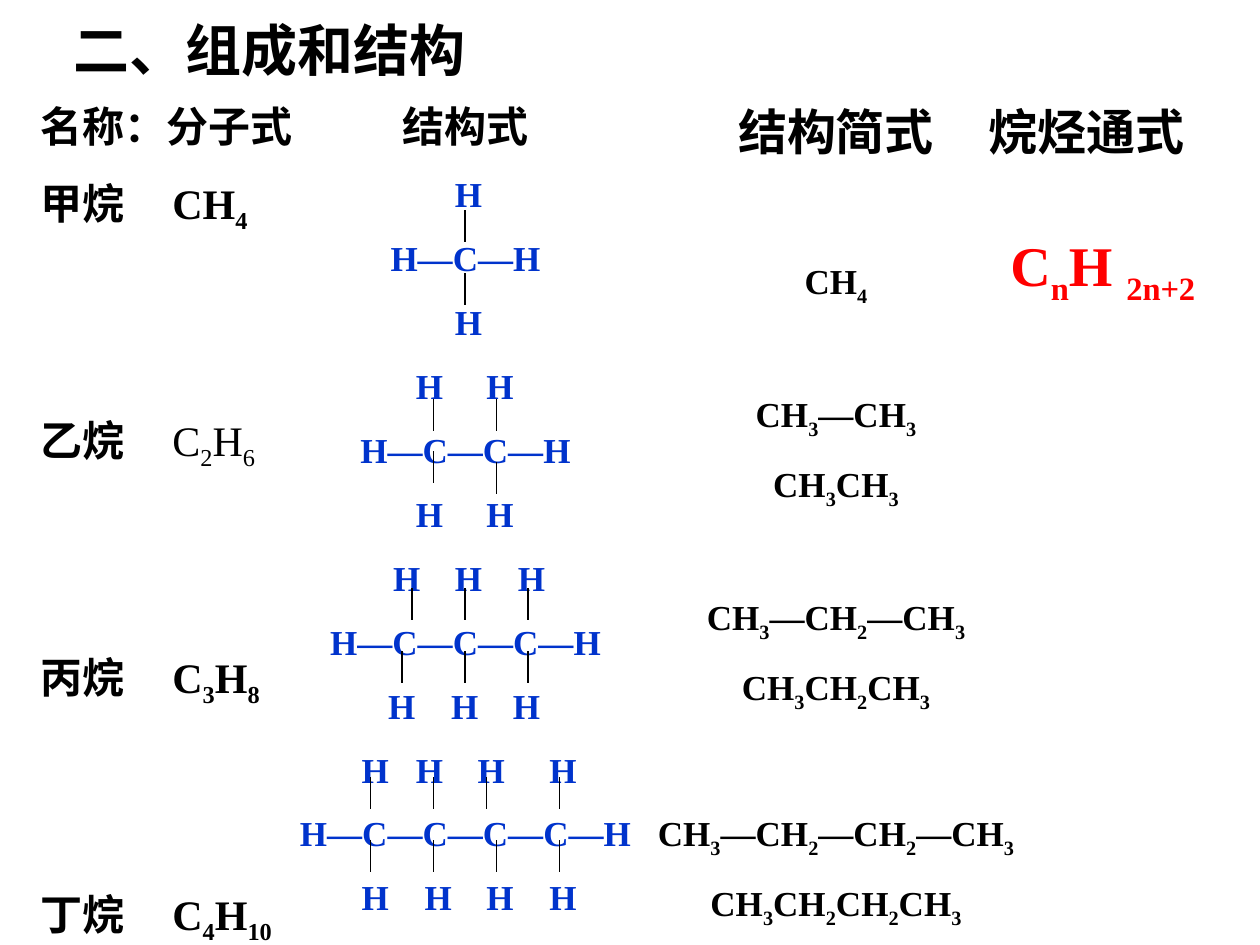
from lxml.etree import SubElement
from pptx import Presentation
from pptx.dml.color import RGBColor as Rgb
from pptx.enum.shapes import MSO_CONNECTOR as Conn
from pptx.enum.text import MSO_ANCHOR as Anchor, MSO_AUTO_SIZE as Fit, PP_ALIGN as Align
from pptx.oxml.ns import qn
from pptx.util import Inches, Pt

COLORS = {"ink": "000000", "atom": "0033CC", "rule": "FF0000"}
SERIF = "Times New Roman"
BOX_X, INSET = 1.36, 0.1
LINE = 1.2  # line height as a share of the text size

# (text, bold, space before in points); _n_ marks a subscript
NAMES = [
    ("名称：分子式", True, 0),
    ("甲烷\tCH_4_", True, 15),
    ("乙烷\t|C_2_H_6_", False, 102.6),
    ("丙烷\tC_3_H_8_", True, 102.6),
    ("丁烷\tC_4_H_10_", True, 102.6),
]
# (text, space before in points)
SHORT = [
    ("CH_4_", 56.3),
    ("CH_3_—CH_3_", 49),
    ("CH_3_CH_3_", 12.5),
    ("CH_3_—CH_2_—CH_3_", 49),
    ("CH_3_CH_2_CH_3_", 12.5),
    ("CH_3_—CH_2_—CH_2_—CH_3_", 56.3),
    ("CH_3_CH_2_CH_2_CH_3_", 12.5),
]
# x of the hydrogens above and below each carbon chain
ATOMS = [
    ([3.72], [3.72]),
    ([3.41, 3.97], [3.41, 3.97]),
    ([3.23, 3.72, 4.22], [3.19, 3.69, 4.18]),
    ([2.98, 3.41, 3.9, 4.47], [2.98, 3.48, 3.97, 4.47]),
]
# top of each row of bonds, and their x
BONDS = [
    (1.67, [3.69]), (2.17, [3.69]),
    (3.17, [3.44, 3.94]), (3.58, [3.44]), (3.67, [3.94]),
    (4.67, [3.27, 3.69, 4.19]), (5.17, [3.19, 3.69, 4.19]),
    (6.17, [2.94, 3.44, 3.86, 4.44]), (6.67, [2.94, 3.44, 3.94, 4.44]),
]


def style(run, size, color="ink", bold=True, face=SERIF):
    font = run.font
    font.size, font.bold, font.name = Pt(size), bold, face
    font.color.rgb = Rgb.from_string(COLORS[color])


def add_text(par, text, size, **look):
    """Write text, with the parts between underscores as subscripts."""
    for i, part in enumerate(text.split("_")):
        if part:
            run = par.add_run()
            run.text = part
            style(run, size, **look)
            if i % 2:
                run.font._element.set("baseline", "-25000")


def set_tabs(par, stops, align):
    tabs = SubElement(par._p.get_or_add_pPr(), qn("a:tabLst"))
    for x in stops:
        SubElement(tabs, qn("a:tab"), pos=str(Inches(x)), algn=align)


def add_box(slide, x, y, w, h):
    frame = slide.shapes.add_textbox(Inches(x), Inches(y), Inches(w), Inches(h)).text_frame
    frame.word_wrap = True
    frame.auto_size = Fit.SHAPE_TO_FIT_TEXT
    return frame


def next_par(frame, gap, align=Align.LEFT):
    """Give the empty first paragraph, or a new one set off by gap points."""
    par = frame.paragraphs[0]
    if par.runs:
        par = frame.add_paragraph()
        par.space_before = Pt(gap)
    par.alignment = align
    return par


def add_title(slide, text):
    title = slide.shapes.title
    title.left, title.top = Inches(0.48), Inches(0.07)
    title.width, title.height = Inches(4.21), Inches(0.64)
    frame = title.text_frame
    frame.text = text
    frame.vertical_anchor = Anchor.TOP
    frame.auto_size = Fit.SHAPE_TO_FIT_TEXT
    par = frame.paragraphs[0]
    par.alignment = Align.LEFT
    style(par.runs[0], 32)


def add_names(slide):
    frame = add_box(slide, 0.22, 0.75, 2.5, 6.81)
    for text, bold, gap in NAMES:
        par = next_par(frame, gap)
        set_tabs(par, [1.05], "l")
        name, _, rest = text.partition("|")
        add_text(par, name, 24)
        add_text(par, rest, 24, bold=bold)


def add_full(slide):
    """Write the structural formulas, hydrogens set on centred tabs."""
    frame = add_box(slide, BOX_X, 0.75, 4.67, 6.59)
    add_text(next_par(frame, 0, Align.CENTER), "结构式", 24)
    for n, (above, below) in enumerate(ATOMS, 1):
        for row in (above, None, below):
            par = next_par(frame, 12.5, Align.LEFT if row else Align.CENTER)
            if row:
                set_tabs(par, [x - BOX_X - INSET for x in row], "ctr")
            text = "\tH" * n if row else "H—" + "C—" * n + "H"
            add_text(par, text, 20, color="atom")


def add_bonds(slide):
    for y, row in BONDS:
        for x in row:
            bond = slide.shapes.add_connector(
                Conn.STRAIGHT, Inches(x), Inches(y), Inches(x), Inches(y + 0.25))
            bond.line.width = Pt(0.75)
            bond.line.color.rgb = Rgb.from_string(COLORS["ink"])
            SubElement(bond._element.spPr, qn("a:effectLst"))


def add_short(slide):
    frame = add_box(slide, 4.8, 0.76, 3.67, 6.67)
    add_text(next_par(frame, 0, Align.CENTER), "结构简式", 28)
    for text, gap in SHORT:
        add_text(next_par(frame, gap, Align.CENTER), text, 20)


def add_rule(slide):
    head = add_box(slide, 7.75, 0.76, 2, 0.57)
    add_text(next_par(head, 0), "烷烃通式", 28, face="Cabin")
    rule = add_box(slide, 7.92, 1.78, 1.83, 0.71)
    add_text(next_par(rule, 0), "C_n_H _2n+2_", 32, color="rule")


def main():
    deck = Presentation()
    deck.slide_width, deck.slide_height = Inches(10), Inches(7.5)
    slide = deck.slides.add_slide(deck.slide_layouts[5])
    add_title(slide, "二、组成和结构")
    add_names(slide)
    add_full(slide)
    add_bonds(slide)
    add_short(slide)
    add_rule(slide)
    deck.save("out.pptx")


if __name__ == "__main__":
    main()
